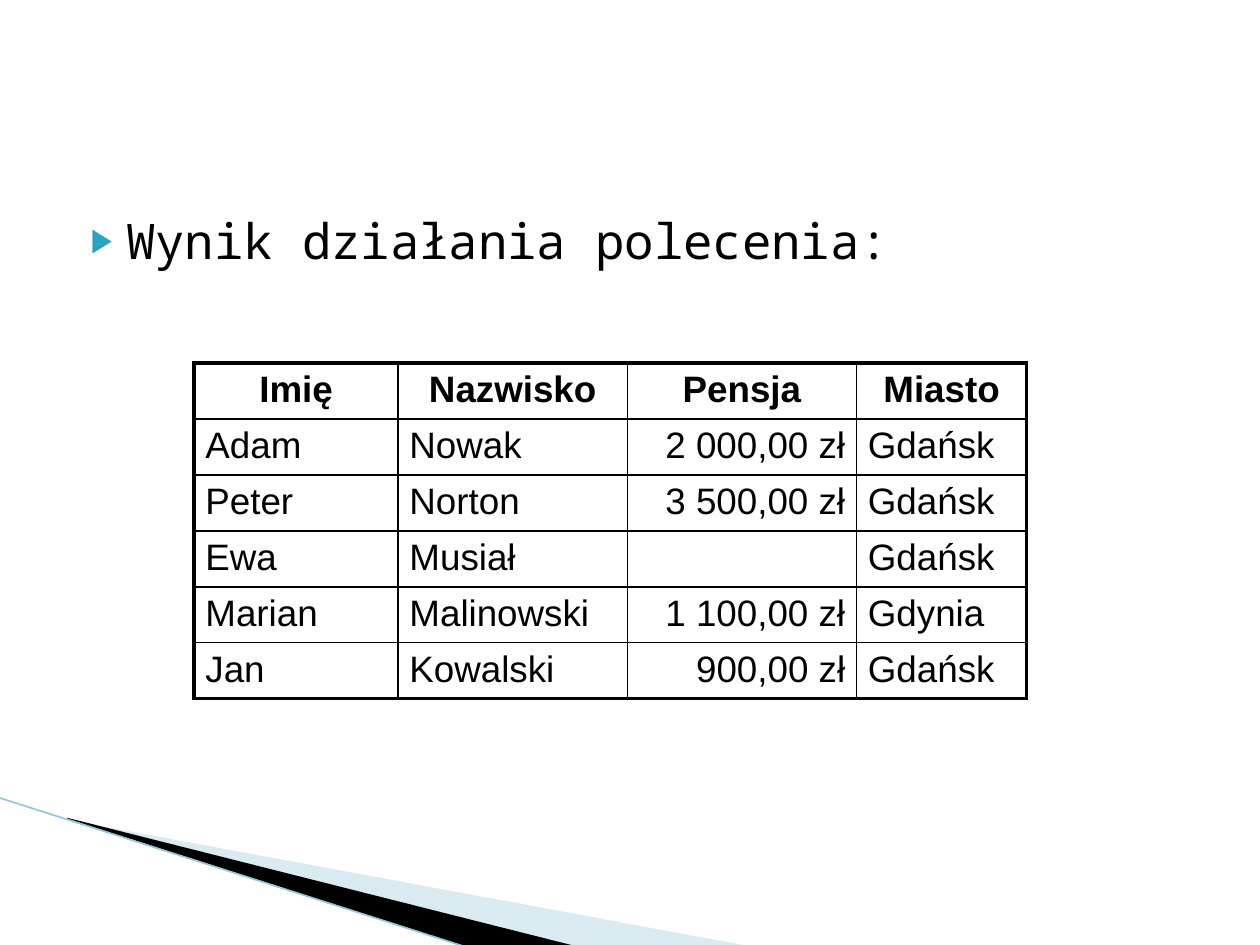
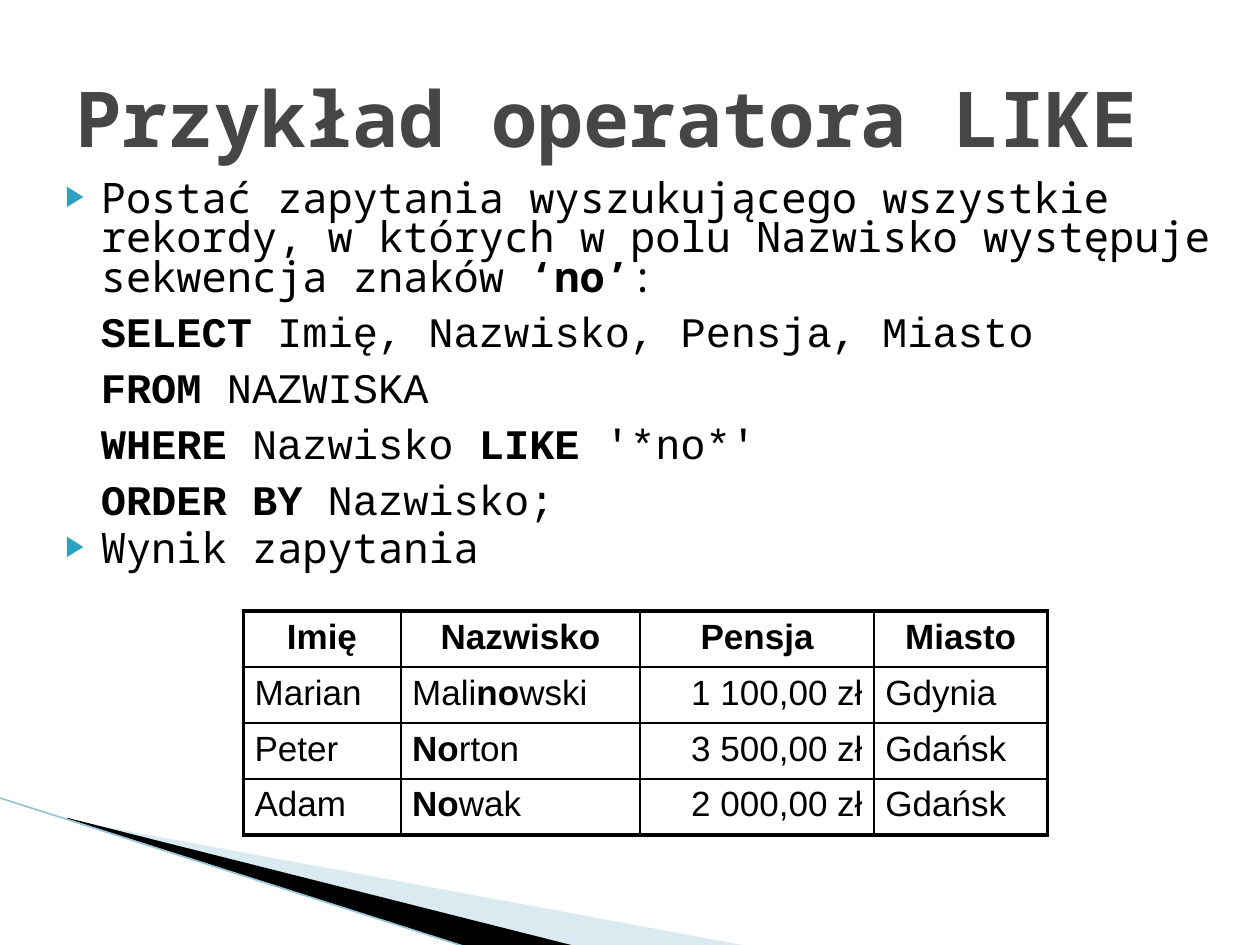
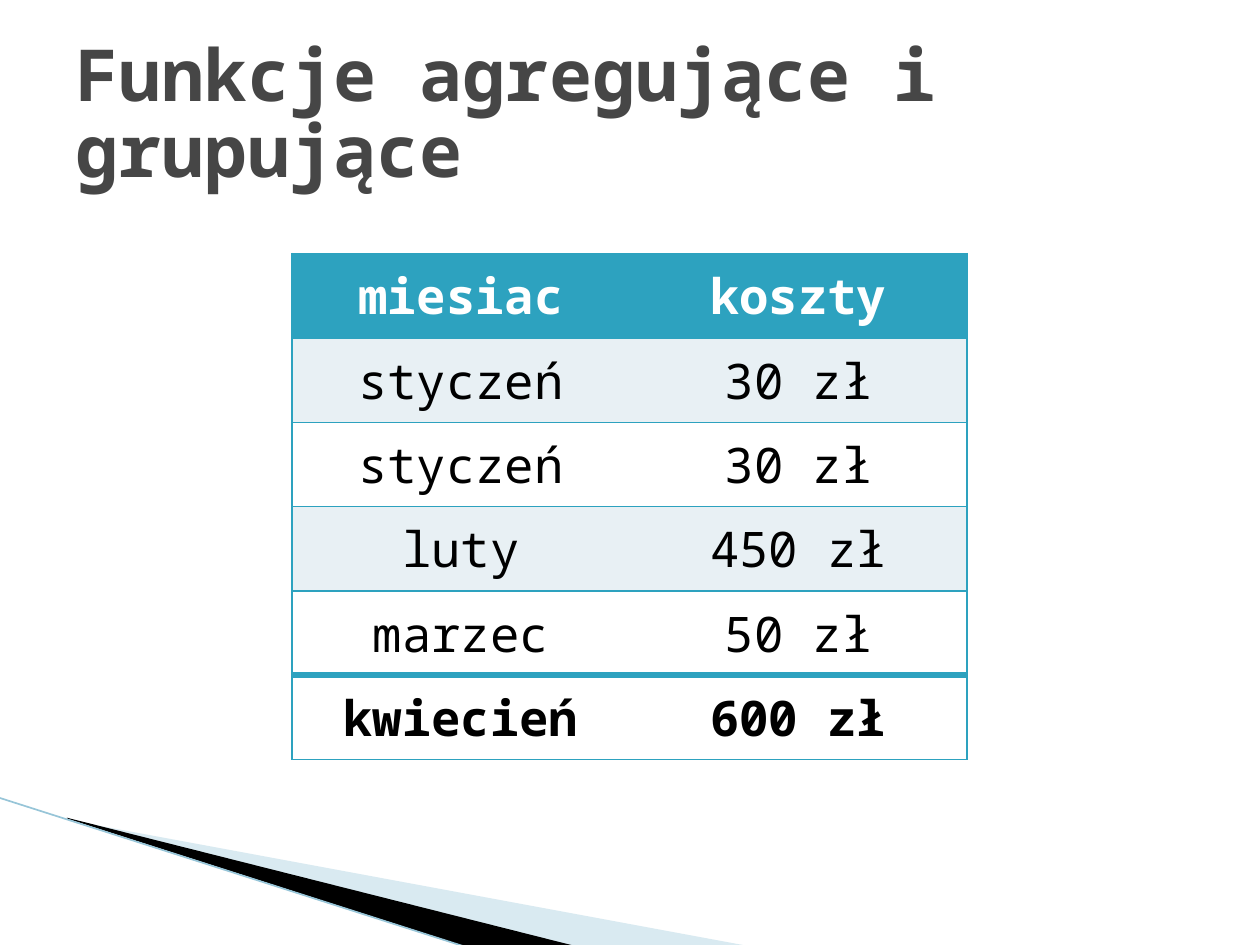
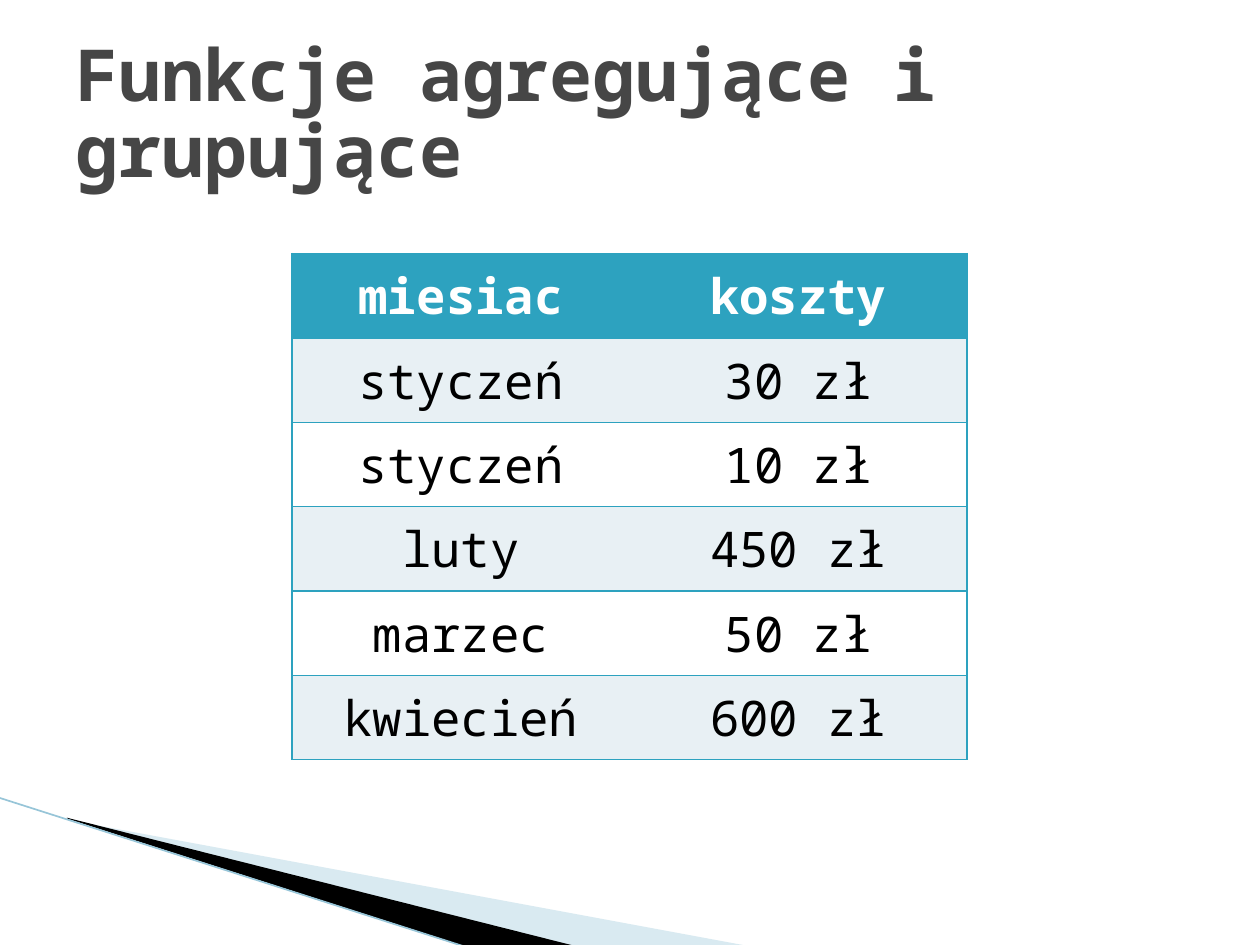
"""Builds four slides on SQL query results: the LIKE operator and aggregate functions."""
import pptx
import pptx.dml.color
import pptx.enum.shapes
import pptx.enum.text
import pptx.oxml
import pptx.oxml.ns
import pptx.util
import lxml.etree

Pt = pptx.util.Pt
qn = pptx.oxml.ns.qn
ALIGN = pptx.enum.text.PP_ALIGN
MIDDLE = pptx.enum.text.MSO_ANCHOR.MIDDLE

COLORS = {
    "text": "000000",
    "title": "464646",
    "accent": "2DA2BF",
    "band": "E8F0F4",
    "white": "FFFFFF",
    "pale_wedge": "A0CBDC",
    "edge": "97C5D8",
}
MONO, CODE, SANS = "Noto Sans Mono", "Courier New", "Arial"
TITLE_ONLY, TITLE_AND_BODY = 5, 1
BOLD_MARK = "|"
SALARY_HEADER = ["Imię", "Nazwisko", "Pensja", "Miasto"]
SALARY_ALIGN = [ALIGN.LEFT, ALIGN.LEFT, ALIGN.RIGHT, ALIGN.LEFT]


def rgb(name):
    """Return the named colour."""
    return pptx.dml.color.RGBColor.from_string(COLORS[name])


def place(shape, left, top, width, height):
    """Move and size a shape, in points."""
    shape.left, shape.top = Pt(left), Pt(top)
    shape.width, shape.height = Pt(width), Pt(height)


def write(paragraph, text, face, size, color="text", bold=False):
    """Fill a paragraph; text between bold marks is set bold."""
    font = paragraph.font
    font.name, font.size, font.bold = face, Pt(size), bold
    font.color.rgb = rgb(color)
    for index, part in enumerate(text.split(BOLD_MARK)):
        if part:
            run = paragraph.add_run()
            run.text = part
            if index % 2:
                run.font.bold = True


def add_wedge(slide, corners, color, opacity=None):
    """Draw one filled wedge of the corner decoration."""
    points = [(Pt(x), Pt(y)) for x, y in corners]
    builder = slide.shapes.build_freeform(*points[0])
    builder.add_line_segments(points[1:])
    wedge = builder.convert_to_shape()
    wedge.shadow.inherit = False
    wedge.line.fill.background()
    wedge.fill.solid()
    wedge.fill.fore_color.rgb = rgb(color)
    if opacity:
        fill_color = next(wedge.element.spPr.iter(qn("a:srgbClr")))
        lxml.etree.SubElement(fill_color, qn("a:alpha"), val=str(opacity * 1000))


def add_corner(slide):
    """Draw the wedges and the edge line at the lower left."""
    add_wedge(slide, [(39.6, 468.7), (428.4, 540.7), (328.3, 540.7), (39.6, 468)],
              "pale_wedge", 40)
    add_wedge(slide, [(38.2, 467.3), (329, 540.7), (267.8, 541.4), (38.9, 468)], "text")
    edge = slide.shapes.add_connector(
        pptx.enum.shapes.MSO_CONNECTOR.STRAIGHT, Pt(-0.7), Pt(455.8), Pt(267.1), Pt(541.4))
    edge.line.color.rgb = rgb("edge")
    edge.line.width = Pt(0.95)
    lxml.etree.SubElement(edge.element.spPr, qn("a:effectLst"))


def add_slide(deck, layout, title=None, size=44, spacing=1.0):
    """Add a slide with the corner decoration and an optional title."""
    slide = deck.slides.add_slide(deck.slide_layouts[layout])
    add_corner(slide)
    heading = slide.shapes.title
    if title is None:
        heading.element.getparent().remove(heading.element)
        return slide
    place(heading, 36, 21.6, 648, 90)
    frame = heading.text_frame
    frame.auto_size = pptx.enum.text.MSO_AUTO_SIZE.NONE
    frame.vertical_anchor = MIDDLE
    paragraph = frame.paragraphs[0]
    paragraph.alignment = ALIGN.LEFT
    paragraph.line_spacing = spacing
    write(paragraph, title, MONO, size, "title", True)
    return slide


def set_bullet(paragraph, shown):
    """Give a paragraph its hanging indent and, if shown, the arrow bullet."""
    props = paragraph._p.get_or_add_pPr()
    props.set("marL", str(Pt(28.8)))
    props.set("indent", str(Pt(-20.2)))
    if not shown:
        lxml.etree.SubElement(props, qn("a:buNone"))
        return
    color = lxml.etree.SubElement(props, qn("a:buClr"))
    lxml.etree.SubElement(color, qn("a:srgbClr"), val=COLORS["accent"])
    lxml.etree.SubElement(props, qn("a:buSzPct"), val="68000")
    lxml.etree.SubElement(props, qn("a:buChar"), char="▶")


def fill_body(slide, box, lines, size, spacing=1.0):
    """Write the list; a line that starts with a tab is code without a bullet."""
    body = slide.placeholders[1]
    place(body, *box)
    frame = body.text_frame
    frame.auto_size = pptx.enum.text.MSO_AUTO_SIZE.NONE
    for index, line in enumerate(lines):
        paragraph = frame.paragraphs[0] if index == 0 else frame.add_paragraph()
        is_code = line.startswith("\t")
        set_bullet(paragraph, not is_code)
        paragraph.line_spacing = 0.9 if is_code else spacing
        paragraph.space_before = Pt(6 if is_code else 4)
        write(paragraph, line, CODE if is_code else MONO, size)


def set_border(cell, side, color, width):
    """Draw one side of a cell, or hide it when the width is zero."""
    line = lxml.etree.SubElement(
        cell._tc.get_or_add_tcPr(), qn("a:ln" + side), w=str(Pt(width)))
    if not width:
        lxml.etree.SubElement(line, qn("a:noFill"))
        return
    fill = lxml.etree.SubElement(line, qn("a:solidFill"))
    lxml.etree.SubElement(fill, qn("a:srgbClr"), val=COLORS[color])


def add_grid(slide, left, top, widths, row_height, rows):
    """Add an empty table of the given size and return it."""
    frame = slide.shapes.add_table(
        len(rows), len(widths), Pt(left), Pt(top), Pt(sum(widths)), Pt(row_height * len(rows)))
    table = frame.table
    table.horz_banding = False
    for column, width in zip(table.columns, widths):
        column.width = Pt(width)
    for row in table.rows:
        row.height = Pt(row_height)
    return table


def rule_table(table, color, across, down):
    """Draw cell borders from the widths of the horizontal and vertical rules."""
    for r in range(len(table.rows)):
        for c in range(len(table.columns)):
            sides = {"L": down[c], "R": down[c + 1], "T": across[r], "B": across[r + 1]}
            for side, width in sides.items():
                set_border(table.cell(r, c), side, color, width)


def add_salaries(slide, left, top, widths, size, people):
    """Add a black-ruled table of people and salaries."""
    rows = [SALARY_HEADER] + people
    table = add_grid(slide, left, top, widths, 32, rows)
    table.first_row = False
    rule_table(table, "text", [2.25] + [1] * len(people) + [2.25],
               [2.25] + [1] * (len(widths) - 1) + [2.25])
    for r, row in enumerate(rows):
        for c, text in enumerate(row):
            cell = table.cell(r, c)
            cell.fill.background()
            cell.margin_left = cell.margin_right = Pt(6.5)
            paragraph = cell.text_frame.paragraphs[0]
            paragraph.alignment = SALARY_ALIGN[c] if r else ALIGN.CENTER
            write(paragraph, text, SANS, size, bold=r == 0)


def add_costs(slide, costs, has_total=False):
    """Add the banded table of monthly costs, with an optional total row."""
    rows = [("miesiac", "koszty")] + costs
    table = add_grid(slide, 167, 145, [192.8, 192.8], 48.2, rows)
    across = [1] * (len(rows) + 1)
    if has_total:
        across[-2] = 4
    rule_table(table, "accent", across, [1, 0, 1])
    for r, row in enumerate(rows):
        is_header, is_total = r == 0, has_total and r == len(costs)
        fill = "accent" if is_header else "band" if r % 2 and not is_total else "white"
        for c, text in enumerate(row):
            cell = table.cell(r, c)
            cell.fill.solid()
            cell.fill.fore_color.rgb = rgb(fill)
            cell.vertical_anchor = MIDDLE
            paragraph = cell.text_frame.paragraphs[0]
            paragraph.alignment = ALIGN.CENTER
            write(paragraph, text, MONO, 28, "white" if is_header else "text",
                  is_header or is_total)


def main():
    """Build and save the deck."""
    deck = pptx.Presentation()
    deck.slide_width, deck.slide_height = Pt(720), Pt(540)

    result = add_slide(deck, TITLE_AND_BODY)
    fill_body(result, (36, 116.6, 648, 356.4), ["Wynik działania polecenia:"], 28)
    add_salaries(result, 110.9, 207.4, [116.6, 131, 131, 97.2], 21, [
        ["Adam", "Nowak", "2 000,00 zł", "Gdańsk"],
        ["Peter", "Norton", "3 500,00 zł", "Gdańsk"],
        ["Ewa", "Musiał", "", "Gdańsk"],
        ["Marian", "Malinowski", "1 100,00 zł", "Gdynia"],
        ["Jan", "Kowalski", "900,00 zł", "Gdańsk"],
    ])

    like = add_slide(deck, TITLE_AND_BODY, "Przykład operatora LIKE")
    fill_body(like, (21.6, 100, 677.5, 244), [
        "Postać zapytania wyszukującego wszystkie rekordy, w których w polu Nazwisko "
        "występuje sekwencja znaków |‘no’|:",
        "\t|SELECT| Imię, Nazwisko, Pensja, Miasto",
        "\t|FROM| NAZWISKA",
        "\t|WHERE| Nazwisko |LIKE| '*no*'",
        "\t|ORDER BY| Nazwisko;",
        "Wynik zapytania",
    ], 24, 0.79)
    add_salaries(like, 139, 349.2, [90, 136.8, 133.7, 99], 20, [
        ["Marian", "Mali|no|wski", "1 100,00 zł", "Gdynia"],
        ["Peter", "|No|rton", "3 500,00 zł", "Gdańsk"],
        ["Adam", "|No|wak", "2 000,00 zł", "Gdańsk"],
    ])

    for second_january, has_total in [("30 zł", True), ("10 zł", False)]:
        aggregates = add_slide(deck, TITLE_ONLY, "Funkcje agregujące i grupujące", 41, 0.89)
        add_costs(aggregates, [
            ("styczeń", "30 zł"),
            ("styczeń", second_january),
            ("luty", "450 zł"),
            ("marzec", "50 zł"),
            ("kwiecień", "600 zł"),
        ], has_total)

    deck.save("out.pptx")


if __name__ == "__main__":
    main()
